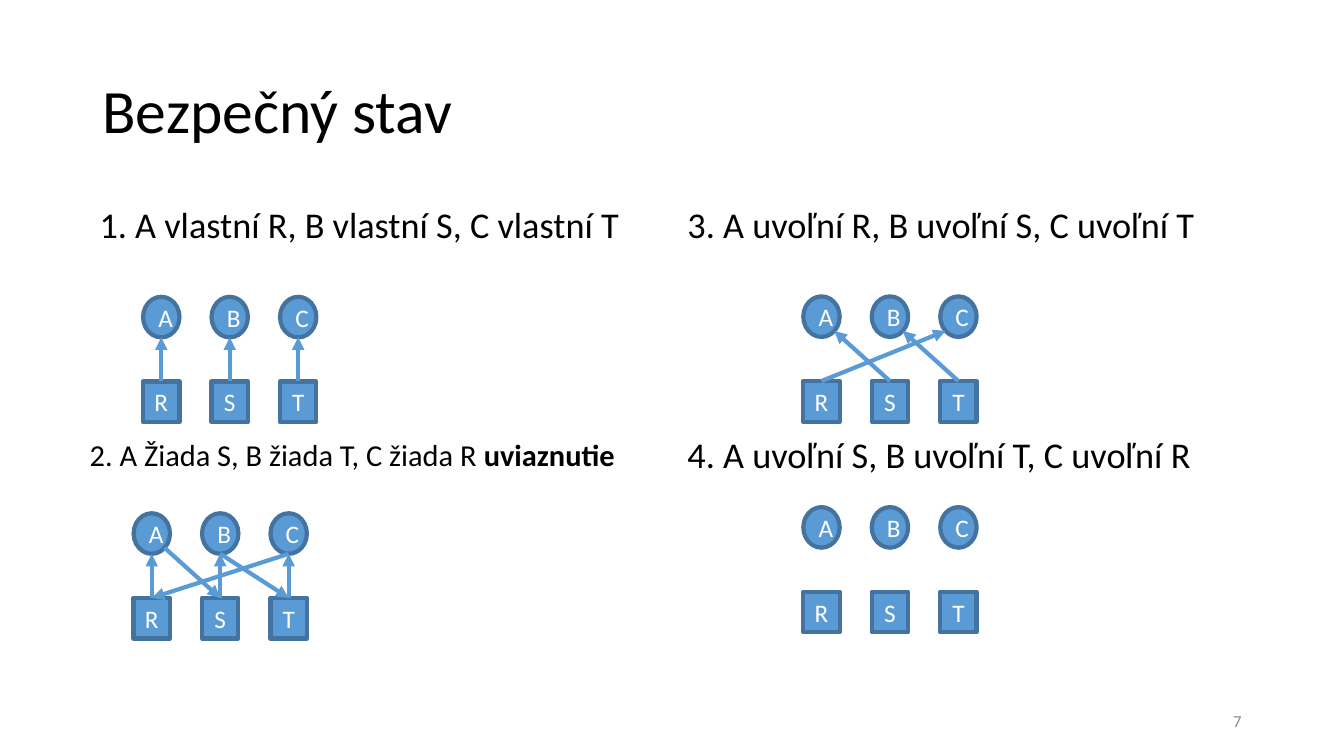
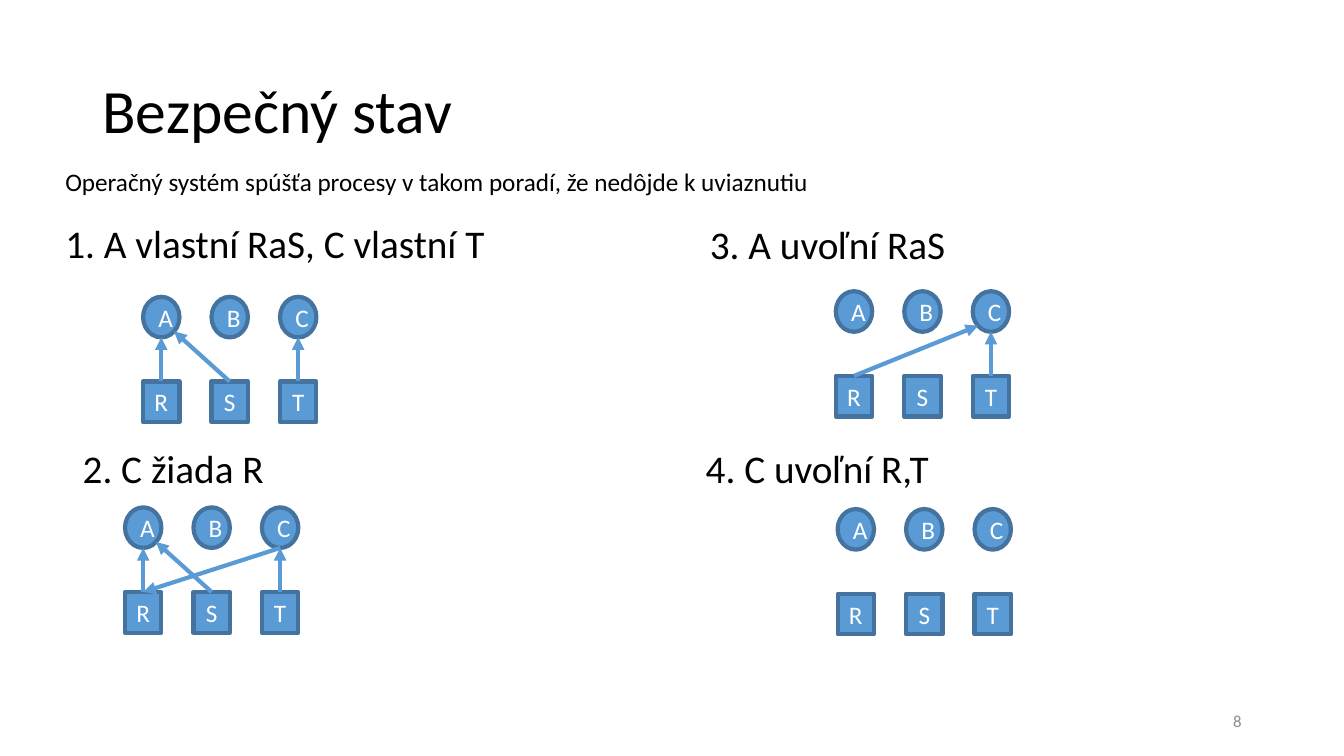
from lxml import etree
from pptx import Presentation
from pptx.dml.color import RGBColor
from pptx.enum.shapes import MSO_CONNECTOR, MSO_SHAPE
from pptx.enum.text import MSO_ANCHOR, PP_ALIGN
from pptx.oxml.ns import qn
from pptx.util import Pt

LEFT, CENTER, RIGHT = PP_ALIGN.LEFT, PP_ALIGN.CENTER, PP_ALIGN.RIGHT
TOP, MIDDLE = MSO_ANCHOR.TOP, MSO_ANCHOR.MIDDLE
ELLIPSE, RECTANGLE = MSO_SHAPE.OVAL, MSO_SHAPE.RECTANGLE
STRAIGHT = MSO_CONNECTOR.STRAIGHT

FONT = "Calibri"
COLORS = {
    "text": "000000",
    "number": "8C8C8C",
    "node": "5B9BD5",
    "outline": "43739E",
    "label": "FFFFFF",
}

# Allocation graph: processes in the upper row, resources in the lower one
PROCESSES, RESOURCES = "ABC", "RST"
NODE_WIDTH, NODE_HEIGHT = 26, 29
COLUMN_STEP, ROW_STEP = 48.9, 60.5
LINE_WIDTH = 3

# Connection points as fractions of a node's width and height
SIDES = {
    "top": (0.5, 0),
    "bottom": (0.5, 1),
    "bottom left": (0.15, 0.85),
    "bottom right": (0.85, 0.85),
}

# Each panel: heading, heading position, graph position and arrows;
# an arrow is (from, to, side of the process it touches)
SLIDES = [
    {
        "number": "7",
        "size": 25.9,
        "panels": [
            {"heading": "1. A vlastní R, B vlastní S, C vlastní T",
             "at": (64, 144.7), "graph": (102.2, 212),
             "arrows": [("R", "A", "bottom"), ("S", "B", "bottom"),
                        ("T", "C", "bottom")]},
            {"heading": "2. A Žiada S, B žiada T, C žiada R ",
             "at": (57, 315.4), "graph": (95.4, 366.6),
             "format": {"size": 21.7, "line_spacing": 0.7,
                        "bold_ending": "uviaznutie"},
             "arrows": [("R", "A", "bottom"), ("S", "B", "bottom"),
                        ("T", "C", "bottom"), ("A", "S", "bottom right"),
                        ("B", "T", "bottom"), ("C", "R", "bottom")]},
            {"heading": "3. A uvoľní R, B uvoľní S, C uvoľní T",
             "at": (484, 144.7), "graph": (573.8, 211.7),
             "arrows": [("S", "A", "bottom right"),
                        ("T", "B", "bottom right"),
                        ("R", "C", "bottom left")]},
            {"heading": "4. A uvoľní S, B uvoľní T, C uvoľní R",
             "at": (484, 309), "graph": (573.8, 362.2), "arrows": []},
        ],
    },
    {
        "number": "8",
        "size": 28,
        "note": "Operačný systém spúšťa procesy v takom poradí, "
                "že nedôjde k uviaznutiu",
        "panels": [
            {"heading": "1. A vlastní RaS, C vlastní T",
             "at": (39.6, 157), "graph": (102.2, 212),
             "arrows": [("R", "A", "bottom"), ("T", "C", "bottom"),
                        ("S", "A", "bottom right")]},
            {"heading": "2. C žiada R",
             "at": (52, 317.5), "graph": (89.3, 362.4),
             "arrows": [("R", "A", "bottom"), ("T", "C", "bottom"),
                        ("S", "A", "bottom right"), ("C", "R", "bottom")]},
            {"heading": "3. A uvoľní RaS",
             "at": (500, 157.7), "graph": (597, 208),
             "arrows": [("T", "C", "bottom"), ("R", "C", "bottom left")]},
            {"heading": "4. C uvoľní R,T",
             "at": (497, 317.5), "graph": (598.3, 363.6), "arrows": []},
        ],
    },
]


def color(name):
    return RGBColor.from_string(COLORS[name])


def write(shape, text, *, size, fill="text", align=LEFT, anchor=TOP,
          line_spacing=None, space_before=0, bold_ending="", wrap=True):
    frame = shape.text_frame
    frame.word_wrap = wrap
    frame.vertical_anchor = anchor
    paragraph = frame.paragraphs[0]
    paragraph.alignment = align
    paragraph.space_before = Pt(space_before)
    if line_spacing:
        paragraph.line_spacing = line_spacing
    for part, bold in ((text, False), (bold_ending, True)):
        if part:
            run = paragraph.add_run()
            run.text = part
            run.font.name = FONT
            run.font.size = Pt(size)
            run.font.bold = bold
            run.font.color.rgb = color(fill)


def add_text(slide, text, left, top, width, height, **text_format):
    box = slide.shapes.add_textbox(Pt(left), Pt(top), Pt(width), Pt(height))
    write(box, text, **text_format)


def add_node(slide, kind, label, left, top):
    node = slide.shapes.add_shape(
        kind, Pt(left), Pt(top), Pt(NODE_WIDTH), Pt(NODE_HEIGHT))
    node.shadow.inherit = False
    node.fill.solid()
    node.fill.fore_color.rgb = color("node")
    node.line.color.rgb = color("outline")
    node.line.width = Pt(LINE_WIDTH)
    write(node, label, size=18, fill="label", align=CENTER, anchor=MIDDLE)


def add_arrow(slide, start, end):
    arrow = slide.shapes.add_connector(
        STRAIGHT, *(Pt(length) for length in (*start, *end)))
    arrow.line.color.rgb = color("node")
    arrow.line.width = Pt(LINE_WIDTH)
    line = arrow.line._get_or_add_ln()
    etree.SubElement(line, qn("a:tailEnd"), type="triangle")
    etree.SubElement(arrow._element.spPr, qn("a:effectLst"))


def add_graph(slide, left, top, arrows):
    # Nodes on a grid of two rows and three columns
    positions = {}
    rows = ((ELLIPSE, PROCESSES), (RECTANGLE, RESOURCES))
    for row, (kind, labels) in enumerate(rows):
        for column, label in enumerate(labels):
            positions[label] = (left + column * COLUMN_STEP,
                                top + row * ROW_STEP)
            add_node(slide, kind, label, *positions[label])

    # Arrows meet resources at the top and processes at the given side
    def connection_point(label, process_side):
        x, y = positions[label]
        side = process_side if label in PROCESSES else "top"
        across, down = SIDES[side]
        return x + across * NODE_WIDTH, y + down * NODE_HEIGHT

    for start, end, side in arrows:
        add_arrow(slide, connection_point(start, side),
                  connection_point(end, side))


def add_panel(slide, panel, size):
    heading_format = {"size": size, "line_spacing": 0.9, "space_before": 10}
    heading_format.update(panel.get("format", {}))
    add_text(slide, panel["heading"], *panel["at"], 403, 46.8,
             **heading_format)
    add_graph(slide, *panel["graph"], panel["arrows"])


def add_frame(slide, number):
    # Title and slide number
    add_text(slide, "Bezpečný stav", 66.2, 28.8, 828, 104.4,
             size=44, anchor=MIDDLE, line_spacing=0.9)
    add_text(slide, number, 678, 500.5, 216, 28.8, size=12, fill="number",
             align=RIGHT, anchor=MIDDLE)


def main():
    presentation = Presentation()
    presentation.slide_width, presentation.slide_height = Pt(960), Pt(540)
    blank_layout = presentation.slide_layouts[6]
    for content in SLIDES:
        slide = presentation.slides.add_slide(blank_layout)
        add_frame(slide, content["number"])
        if "note" in content:
            add_text(slide, content["note"], 39.6, 115.2, 551.5, 28.8,
                     size=18, wrap=False)
        for panel in content["panels"]:
            add_panel(slide, panel, content["size"])
    presentation.save("out.pptx")


if __name__ == "__main__":
    main()
